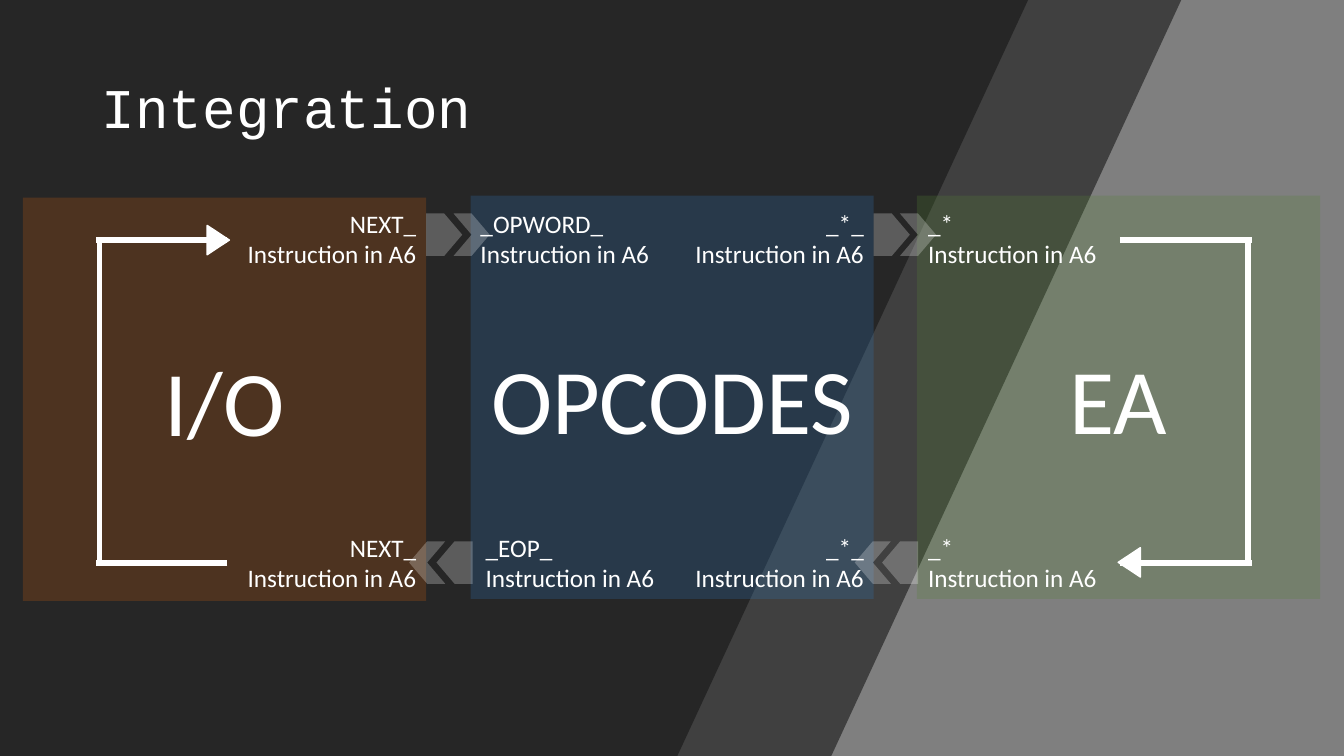
"""Build the Integration slide: three blocks that pass instructions in a loop."""
from lxml.etree import SubElement
from pptx import Presentation
from pptx.dml.color import RGBColor
from pptx.enum.shapes import MSO_CONNECTOR as LINE, MSO_SHAPE as SHAPE
from pptx.enum.text import MSO_ANCHOR as ANCHOR, MSO_AUTO_SIZE as AUTO, PP_ALIGN as ALIGN
from pptx.oxml.ns import qn
from pptx.util import Cm, Pt

WIDTH, HEIGHT = 33.87, 19.05
WHITE = RGBColor(0xFF, 0xFF, 0xFF)
BACKGROUND = RGBColor(0x7C, 0x7C, 0x7C)
GREY = RGBColor(0x7F, 0x7F, 0x7F)
CHARCOAL = RGBColor(0x26, 0x26, 0x26)
ORANGE = RGBColor(0xC5, 0x5A, 0x11)
BLUE = RGBColor(0x2E, 0x75, 0xB6)
GREEN = RGBColor(0x54, 0x82, 0x35)
BLOCK_SIDE = 10.16
INSTRUCTION = "Instruction in A6"


def paint(shape, color, opacity=100):
    """Give a shape a flat fill without outline or shadow."""
    shape.shadow.inherit = False
    shape.line.fill.background()
    shape.fill.solid()
    shape.fill.fore_color.rgb = color
    if opacity < 100:
        tint = next(shape._element.spPr.iter(qn("a:srgbClr")))
        SubElement(tint, qn("a:alpha")).set("val", str(opacity * 1000))


def add_preset(slide, kind, left, top, width, height, color, opacity=100, turn=0):
    """Add a painted preset shape."""
    shape = slide.shapes.add_shape(kind, Cm(left), Cm(top), Cm(width), Cm(height))
    shape.rotation = turn
    paint(shape, color, opacity)
    return shape


def add_panel(slide, left, top_right, bottom_right, opacity):
    """Add a slanted background panel of full slide height."""
    outline = slide.shapes.build_freeform(Cm(left), 0)
    outline.add_line_segments([(Cm(top_right), 0), (Cm(bottom_right), Cm(HEIGHT)),
                               (Cm(left), Cm(HEIGHT))])
    paint(outline.convert_to_shape(), CHARCOAL, opacity)


def add_run(paragraph, text, size, font="Calibri"):
    """Append a white run to a paragraph."""
    run = paragraph.add_run()
    run.text = text
    run.font.size = Pt(size)
    run.font.name = font
    run.font.color.rgb = WHITE


def add_block(slide, name, left, top, color):
    """Add a translucent square with its large name."""
    block = add_preset(slide, SHAPE.RECTANGLE, left, top, BLOCK_SIDE, BLOCK_SIDE, color, 25)
    block.text_frame.vertical_anchor = ANCHOR.MIDDLE
    heading = block.text_frame.paragraphs[0]
    heading.alignment = ALIGN.CENTER
    add_run(heading, name, 66)


def add_passage(slide, tail, tip, top, turn=0):
    """Add a double arrow made of a pentagon and a chevron."""
    for kind, left in ((SHAPE.PENTAGON, tail), (SHAPE.CHEVRON, tip)):
        add_preset(slide, kind, left, top, 0.91, 1.07, WHITE, 25, turn)


def add_label(slide, routine, left, top, align):
    """Add a routine name above its instruction note."""
    width = 5.61 if align == ALIGN.RIGHT else 5.08
    frame = slide.shapes.add_textbox(Cm(left), Cm(top), Cm(width), Cm(1.8)).text_frame
    frame.word_wrap = True
    frame.auto_size = AUTO.SHAPE_TO_FIT_TEXT
    note = frame.paragraphs[0]
    note.alignment = align
    add_run(note, routine, 18)
    note.add_line_break()
    add_run(note, INSTRUCTION, 18)


def add_stroke(slide, x1, y1, x2, y2):
    """Add one thick white line of a return loop."""
    stroke = slide.shapes.add_connector(LINE.STRAIGHT, Cm(x1), Cm(y1), Cm(x2), Cm(y2))
    stroke.line.color.rgb = WHITE
    stroke.line.width = Pt(4)
    SubElement(stroke._element.spPr, qn("a:effectLst"))


def add_loop(slide, inner, outer, side, head_left, head_top, turn):
    """Add a three-sided return loop with its arrowhead."""
    add_stroke(slide, inner, 6.05, outer, 6.05)
    add_stroke(slide, side, 6.05, side, 14.19)
    add_stroke(slide, inner, 14.19, outer, 14.19)
    head = add_preset(slide, SHAPE.ISOSCELES_TRIANGLE, head_left, head_top,
                      0.74, 0.56, WHITE, turn=turn)
    head.line.color.rgb = WHITE
    head.line.width = Pt(1)


def add_title(slide, text):
    """Fill the title placeholder and bring it in front of the panels."""
    title = slide.shapes.title
    title.left, title.top, title.width, title.height = Cm(2.31), 0, Cm(29.24), Cm(3.68)
    title.text_frame.vertical_anchor = ANCHOR.BOTTOM
    title.text_frame.word_wrap = True
    heading = title.text_frame.paragraphs[0]
    heading.alignment = ALIGN.LEFT
    heading.line_spacing = 0.9
    add_run(heading, text, 40, "Courier New")
    slide.shapes._spTree.append(title._element)


def main():
    """Compose and save the slide."""
    deck = Presentation()
    deck.slide_width, deck.slide_height = Cm(WIDTH), Cm(HEIGHT)
    slide = deck.slides.add_slide(deck.slide_layouts[5])
    slide.background.fill.solid()
    slide.background.fill.fore_color.rgb = BACKGROUND

    add_preset(slide, SHAPE.RECTANGLE, 0, 0, WIDTH, HEIGHT, GREY)
    add_panel(slide, 3.45, 29.77, 20.95, 70)
    add_panel(slide, 0, 25.91, 17.07, 100)

    for name, left, top, color in (("I/O", 0.58, 4.98, ORANGE),
                                   ("OPCODES", 11.86, 4.93, BLUE),
                                   ("EA", 23.11, 4.93, GREEN)):
        add_block(slide, name, left, top, color)

    for tail, tip in ((10.74, 11.43), (22.02, 22.68)):
        add_passage(slide, tail, tip, 5.38)
    for tail, tip in ((11, 10.31), (22.23, 21.54)):
        add_passage(slide, tail, tip, 13.64, 180)

    for top, opcode, opcode_left in ((5.13, "_OPWORD_", 11.86), (13.28, "_EOP_", 11.99)):
        add_label(slide, "NEXT_", 5.13, top, ALIGN.RIGHT)
        add_label(slide, opcode, opcode_left, top, ALIGN.LEFT)
        add_label(slide, "_*_", 16.41, top, ALIGN.RIGHT)
        add_label(slide, "_*", 23.14, top, ALIGN.LEFT)

    add_loop(slide, 28.22, 31.54, 31.45, 28.09, 13.89, 270)
    add_loop(slide, 5.73, 2.43, 2.51, 5.13, 5.77, 90)
    add_title(slide, "Integration")
    deck.save("out.pptx")


if __name__ == "__main__":
    main()
